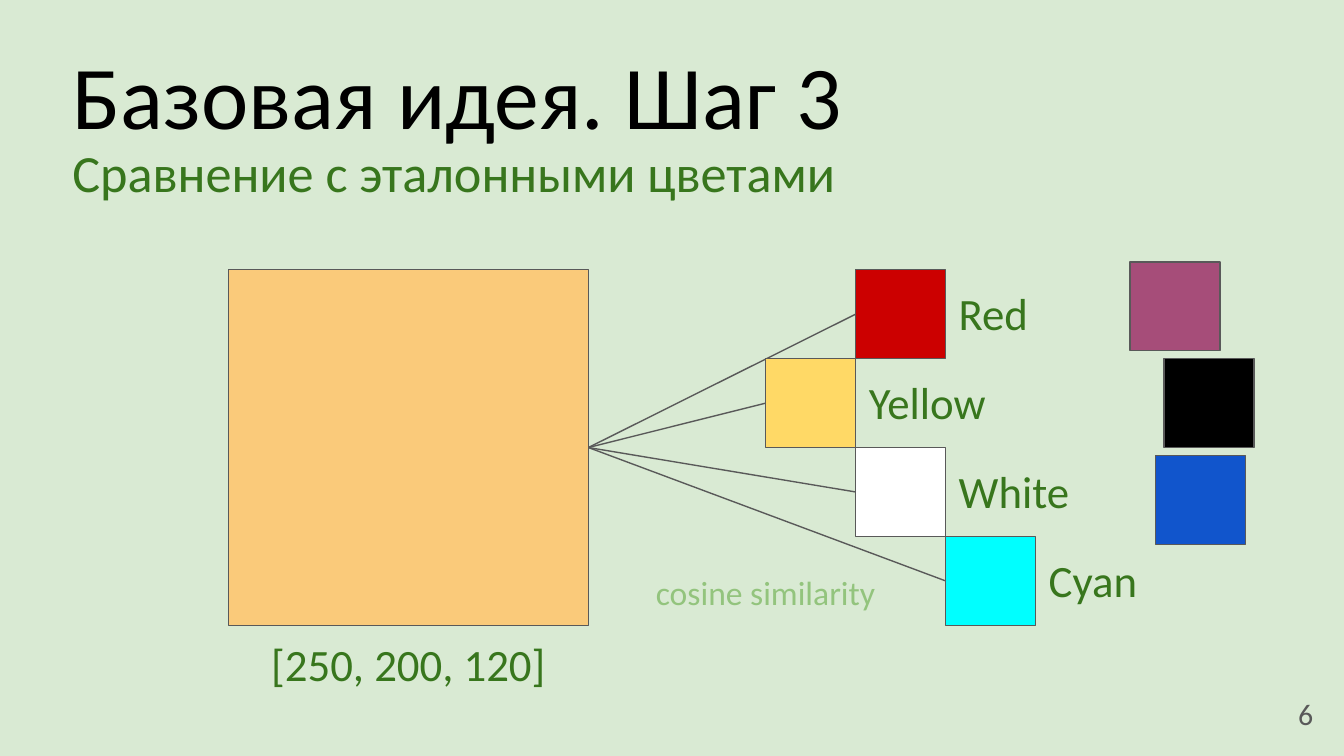
"""Build the slide that compares a colour with reference colours."""
from lxml import etree
from pptx import Presentation
from pptx.dml.color import RGBColor
from pptx.enum import shapes, text
from pptx.oxml import ns
from pptx.util import Cm, Pt

FONT = "Calibri"
GREEN = "38761D"
GREY = "595959"
SIDE, STEP = 1.7, 1.68
GRID_LEFT, GRID_TOP = 14.47, 5.1
REFERENCES = [("Red", "CC0000", 1), ("Yellow", "FFD966", 0),
              ("White", "FFFFFF", 1), ("Cyan", "00FFFF", 2)]
OTHERS = [("A64D79", 21.36, 4.95), ("000000", 22.0, 6.78), ("1155CC", 21.84, 8.61)]


def color(value):
    """Return the colour of a hex string."""
    return RGBColor.from_string(value)


def write(shape, words, size, fill=GREEN, align=text.PP_ALIGN.LEFT,
          anchor=text.MSO_ANCHOR.TOP):
    """Put one formatted paragraph into a shape."""
    frame = shape.text_frame
    frame.text = words
    frame.word_wrap = True
    frame.auto_size = text.MSO_AUTO_SIZE.NONE
    frame.vertical_anchor = anchor
    frame.margin_left = frame.margin_right = Cm(0.25)
    frame.margin_top = frame.margin_bottom = Cm(0.25)
    paragraph = frame.paragraphs[0]
    paragraph.alignment = align
    font = paragraph.runs[0].font
    font.name, font.size = FONT, Pt(size)
    font.color.rgb = color(fill)


def add_title(slide, words):
    """Place and format the title."""
    title = slide.shapes.title
    title.left, title.top = Cm(1.12), Cm(0.51)
    title.width, title.height = Cm(23.14), Cm(2.57)
    write(title, words, 48, "000000")


def add_label(slide, words, left, top, width, height, size=24, **style):
    """Add a text box."""
    box = slide.shapes.add_textbox(Cm(left), Cm(top), Cm(width), Cm(height))
    write(box, words, size, **style)


def add_swatch(slide, fill, left, top, width=SIDE, height=STEP):
    """Add an outlined rectangle of one colour."""
    swatch = slide.shapes.add_shape(shapes.MSO_SHAPE.RECTANGLE, Cm(left), Cm(top),
                                    Cm(width), Cm(height))
    swatch.shadow.inherit = False
    swatch.fill.solid()
    swatch.fill.fore_color.rgb = color(fill)
    swatch.line.color.rgb = color(GREY)
    swatch.line.width = Pt(0.75)
    return swatch


def connect(slide, start, end):
    """Join the right side of one swatch to the left side of another."""
    line = slide.shapes.add_connector(shapes.MSO_CONNECTOR.STRAIGHT, 0, 0, 0, 0)
    line.begin_connect(start, 3)
    line.end_connect(end, 1)
    line.line.color.rgb = color(GREY)
    line.line.width = Pt(0.75)
    etree.SubElement(line._element.spPr, ns.qn("a:effectLst"))


def main():
    """Build and save the presentation."""
    presentation = Presentation()
    presentation.slide_width, presentation.slide_height = Cm(25.4), Cm(14.29)
    slide = presentation.slides.add_slide(presentation.slide_layouts[5])
    slide.background.fill.solid()
    slide.background.fill.fore_color.rgb = color("D9EAD3")

    add_title(slide, "Базовая идея. Шаг 3")
    add_label(slide, "Сравнение с эталонными цветами", 1.12, 2.41, 23.14, 1.7, 28)
    add_label(slide, "6", 23.55, 12.95, 1.52, 1.09, 16, fill=GREY,
              align=text.PP_ALIGN.RIGHT, anchor=text.MSO_ANCHOR.MIDDLE)

    sample = add_swatch(slide, "FACA7A", 4.32, GRID_TOP, 4 * SIDE, 4 * STEP)
    add_label(slide, "[250, 200, 120]", 4.32, 11.79, 4 * SIDE, 1.55,
              align=text.PP_ALIGN.CENTER)

    for row, (name, fill, column) in enumerate(REFERENCES):
        left, top = GRID_LEFT + column * SIDE, GRID_TOP + row * STEP
        swatch = add_swatch(slide, fill, left, top)
        add_label(slide, name, left + SIDE, top + 0.06, 3.5, 1.55)
        connect(slide, sample, swatch)
    for fill, left, top in OTHERS:
        add_swatch(slide, fill, left, top)

    add_label(slide, "cosine similarity", 11.07, GRID_TOP + 3 * STEP, 4 * SIDE, STEP, 18,
              fill="93C47D", align=text.PP_ALIGN.CENTER, anchor=text.MSO_ANCHOR.BOTTOM)
    presentation.save("out.pptx")


if __name__ == "__main__":
    main()
